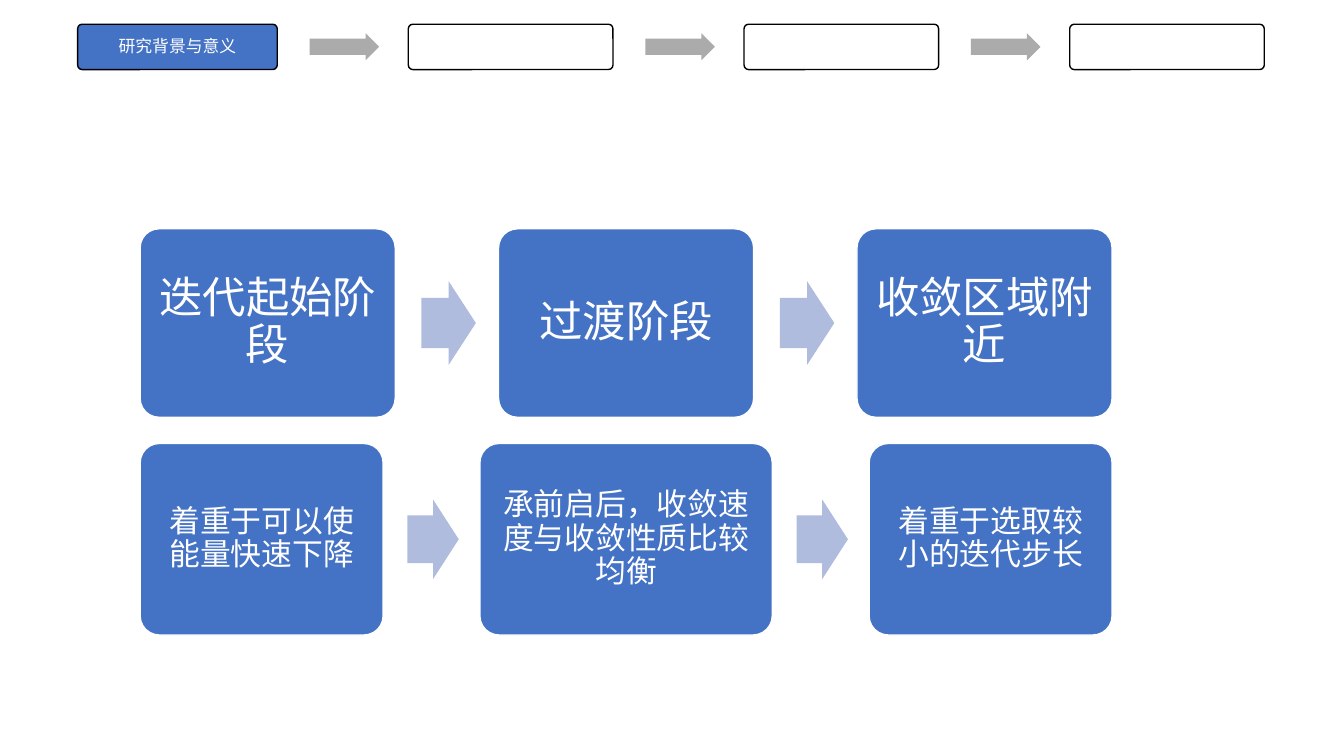
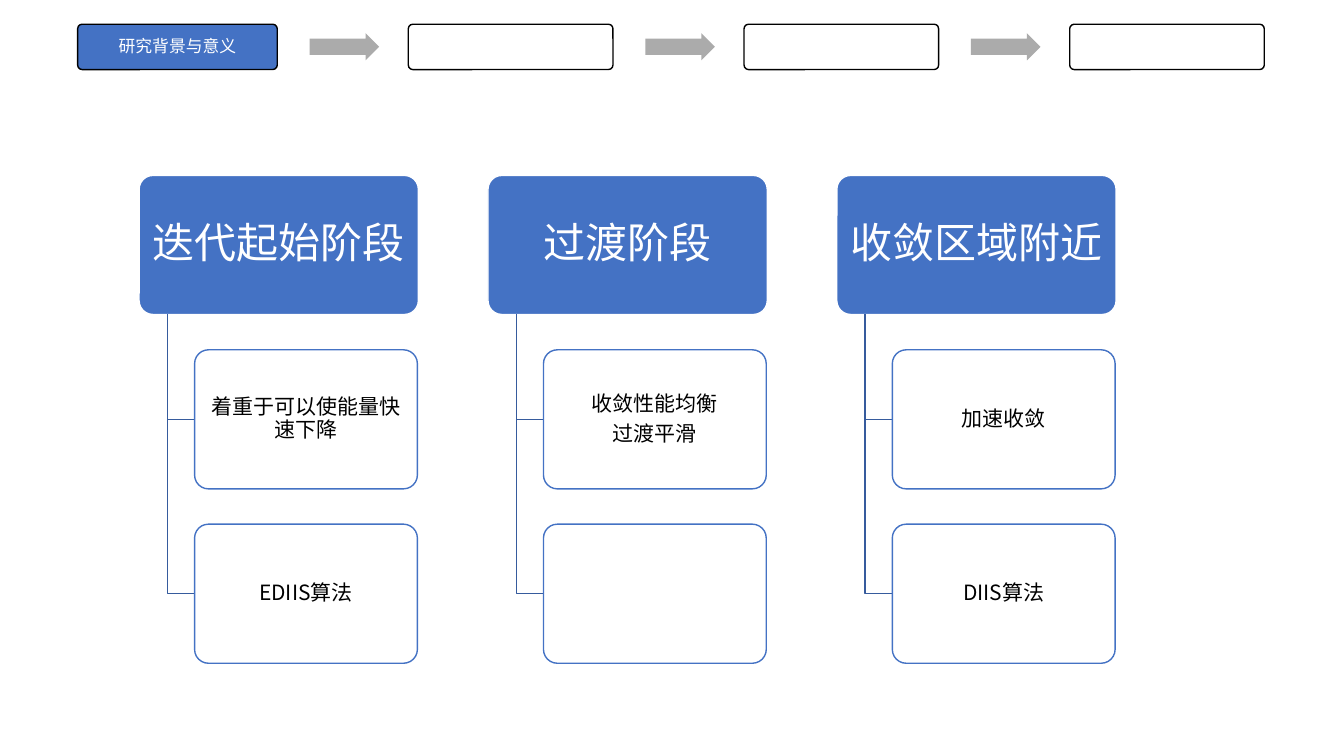
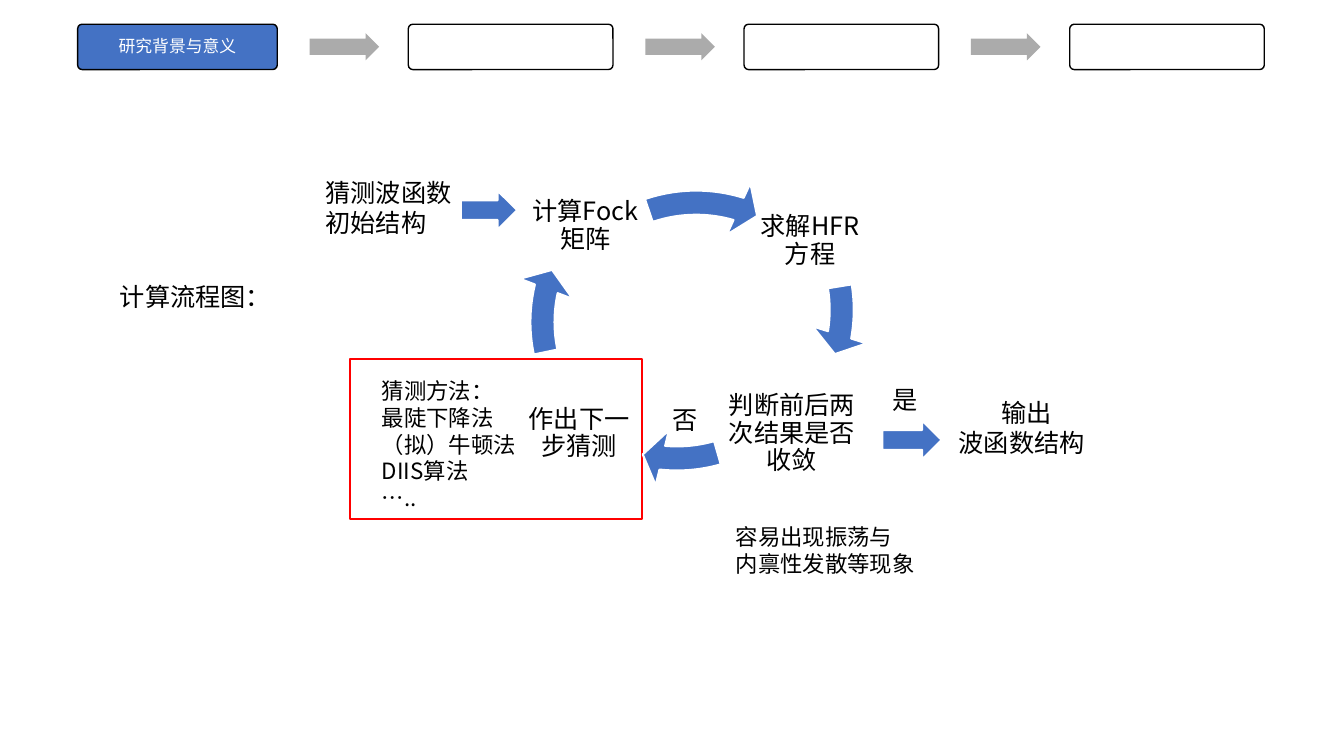
import pptx
import pptx.dml.color
import pptx.enum.shapes
import pptx.enum.text
import pptx.oxml.ns
import pptx.util
from lxml import etree

Inches = pptx.util.Inches
Pt = pptx.util.Pt
SHAPE = pptx.enum.shapes.MSO_SHAPE
ALIGN = pptx.enum.text.PP_ALIGN
ANCHOR = pptx.enum.text.MSO_ANCHOR

FONT = "Noto Sans CJK SC"
COLORS = {
    "blue": "4472C4",
    "pale_blue": "B0BCDE",
    "dark_blue": "365B9D",
    "gray": "ABABAB",
    "black": "000000",
    "white": "FFFFFF",
    "red": "FF0000",
}
STAGES = ["迭代起始阶段", "过渡阶段", "收敛区域附近"]


def color(name):
    return pptx.dml.color.RGBColor.from_string(COLORS[name])


# Text
def write_text(shape, lines, size, text_color, margins, centered=True):
    """Fill a shape; centred text is set tight, as in a diagram node."""
    frame = shape.text_frame
    frame.word_wrap = True
    frame.vertical_anchor = ANCHOR.MIDDLE if centered else ANCHOR.TOP
    frame.margin_left = frame.margin_right = Inches(margins[0])
    frame.margin_top = frame.margin_bottom = Inches(margins[1])
    frame.text = "\n".join(lines)
    for paragraph in frame.paragraphs:
        paragraph.alignment = ALIGN.CENTER if centered else ALIGN.LEFT
        if centered:
            paragraph.line_spacing = 0.9
            paragraph.space_after = Pt(0.35 * size)
        for run in paragraph.runs:
            run.font.size = Pt(size)
            run.font.name = FONT
            run.font.color.rgb = color(text_color)
            east_asian = etree.SubElement(
                run.font._element, pptx.oxml.ns.qn("a:ea"))
            east_asian.set("typeface", FONT)


def add_text(slide, box, lines, size=18, centered=False):
    shape = slide.shapes.add_textbox(*map(Inches, box))
    margins = (0.03, 0.03) if centered else (0.1, 0.05)
    write_text(shape, lines, size, "black", margins, centered)
    return shape


# Shapes
def add_shape(slide, kind, box, fill, line=None, line_width=1, adjustments=()):
    shape = slide.shapes.add_shape(kind, *map(Inches, box))
    shape.shadow.inherit = False
    shape.fill.solid()
    shape.fill.fore_color.rgb = color(fill)
    if line:
        shape.line.color.rgb = color(line)
        shape.line.width = Pt(line_width)
    else:
        shape.line.fill.background()
    for index, value in enumerate(adjustments):
        shape.adjustments[index] = value
    return shape


def add_node(slide, box, lines, size, fill, line, text_color, margins):
    shape = add_shape(slide, SHAPE.ROUNDED_RECTANGLE, box, fill, line,
                      adjustments=[0.1])
    if lines:
        write_text(shape, lines, size, text_color, margins)


def add_elbow(slide, left, top, right, bottom):
    builder = slide.shapes.build_freeform(Inches(left), Inches(top))
    builder.add_line_segments(
        [(Inches(left), Inches(bottom)), (Inches(right), Inches(bottom))],
        close=False)
    shape = builder.convert_to_shape()
    shape.shadow.inherit = False
    shape.fill.background()
    shape.line.color.rgb = color("dark_blue")
    shape.line.width = Pt(1)


def add_cycle_arrow(slide, left, top, start, end):
    """Curved arrow between two angles in degrees, clockwise from the right."""
    head = 7.76
    units = [angle * 0.6 for angle in (head, end, start)]
    add_shape(slide, SHAPE.CIRCULAR_ARROW, (left, top, 3.47, 3.47), "blue",
              "white", 1.5, [0.069, *units, 0.081])


def add_process_row(slide, steps, left, top, height, gap, arrow, arrow_color,
                    size, margin, line):
    """Row of (text, width) nodes with an arrow in each gap."""
    offset, arrow_width, arrow_height = arrow
    for index, (text, width) in enumerate(steps):
        if index:
            arrow_top = top + (height - arrow_height) / 2
            add_shape(slide, SHAPE.RIGHT_ARROW,
                      (left - gap + offset, arrow_top,
                       arrow_width, arrow_height),
                      arrow_color, adjustments=[0.6, 0.5])
        add_node(slide, (left, top, width, height), [text] if text else [],
                 size, "blue" if text else "white", line, "white",
                 (margin, margin))
        left += width + gap


# Shared slide with the progress band
def new_slide(presentation):
    slide = presentation.slides.add_slide(presentation.slide_layouts[6])
    sections = [("研究背景与意义", 1.98), ("", 2.03), ("", 1.93), ("", 1.93)]
    add_process_row(slide, sections, 0.77, 0.24, 0.45, 1.3,
                    (0.32, 0.69, 0.27), "gray", 12, 0.05, "black")
    return slide


# Slide 1: stages and their aims
def build_stages(presentation):
    slide = new_slide(presentation)
    add_process_row(slide, [(stage, 2.53) for stage in STAGES],
                    1.39, 2.27, 1.87, 1.025, (0.26, 0.54, 0.83),
                    "pale_blue", 31, 0.13, "white")
    aims = [("着重于可以使能量快速下降", 2.41),
            ("承前启后，收敛速度与收敛性质比较均衡", 2.9),
            ("着重于选取较小的迭代步长", 2.41)]
    add_process_row(slide, aims, 1.39, 4.4, 1.9, 0.96, (0.24, 0.51, 0.79),
                    "pale_blue", 22, 0.09, "white")


# Slide 2: stages with their algorithms
def build_algorithms(presentation):
    slide = new_slide(presentation)
    details = [
        [["着重于可以使能量快速下降"], ["EDIIS算法"]],
        [["收敛性能均衡", "过渡平滑"], []],
        [["加速收敛"], ["DIIS算法"]],
    ]
    top, height = 1.74, 1.38
    for column, (stage, children) in enumerate(zip(STAGES, details)):
        left = 1.38 + 3.46 * column
        add_node(slide, (left, top, 2.77, height), [stage], 30,
                 "blue", "white", "white", (0.06, 0.04))
        for row, lines in enumerate(children, start=1):
            child_left, child_top = left + 0.55, top + 1.73 * row
            add_elbow(slide, left + 0.28, top + height,
                      child_left, child_top + height / 2)
            add_node(slide, (child_left, child_top, 2.21, height), lines, 15,
                     "white", "blue", "black", (0.03, 0.02))


# Slide 3: flow chart of the calculation
def build_flow_chart(presentation):
    slide = new_slide(presentation)
    add_text(slide, (1.09, 2.74, 1.75, 0.4), ["计算流程图："])

    # Guessing methods
    add_shape(slide, SHAPE.RECTANGLE, (3.47, 3.56, 2.9, 1.59), "white", "red")
    add_text(slide, (3.69, 3.69, 1.77, 1.45),
             ["猜测方法：", "最陡下降法", "（拟）牛顿法", "DIIS算法", "….."], 16)

    # Cycle
    cycle_steps = [
        ("求解HFR方程", (7.47, 1.78, 1.13, 1.23)),
        ("判断前后两次结果是否收敛", (7.11, 3.69, 1.49, 1.23)),
        ("作出下一步猜测", (5.13, 3.69, 1.23, 1.23)),
        ("计算Fock矩阵", (5.23, 1.63, 1.15, 1.23)),
    ]
    for text, box in cycle_steps:
        add_text(slide, box, [text], centered=True)
    cycle_arrows = [
        (5.16, 1.34, 350.73, 9.8),
        (4.98, 1.36, 73.98, 95.74),
        (5.1, 1.46, 168.17, 193.07),
        (5.17, 1.73, 251.17, 286.82),
    ]
    for arrow in cycle_arrows:
        add_cycle_arrow(slide, *arrow)

    # Entry, exit and branch labels
    for box in [(4.57, 1.89, 0.56, 0.39), (8.75, 4.17, 0.59, 0.39)]:
        add_shape(slide, SHAPE.RIGHT_ARROW, box, "blue", "white", 1.5)
    add_text(slide, (3.13, 1.71, 1.54, 0.71), ["猜测波函数初始结构"])
    output = add_text(slide, (9.41, 3.89, 1.55, 0.71), ["输出", "波函数结构"])
    output.text_frame.paragraphs[0].alignment = ALIGN.CENTER
    add_text(slide, (8.75, 3.76, 0.65, 0.4), ["是"])
    add_text(slide, (6.57, 3.96, 0.63, 0.4), ["否"])
    add_text(slide, (7.2, 5.14, 2.15, 0.64),
             ["容易出现振荡与", "内禀性发散等现象"], 16)


def main():
    presentation = pptx.Presentation()
    presentation.slide_width = Inches(13.33)
    presentation.slide_height = Inches(7.5)
    build_stages(presentation)
    build_algorithms(presentation)
    build_flow_chart(presentation)
    presentation.save("out.pptx")


if __name__ == "__main__":
    main()
